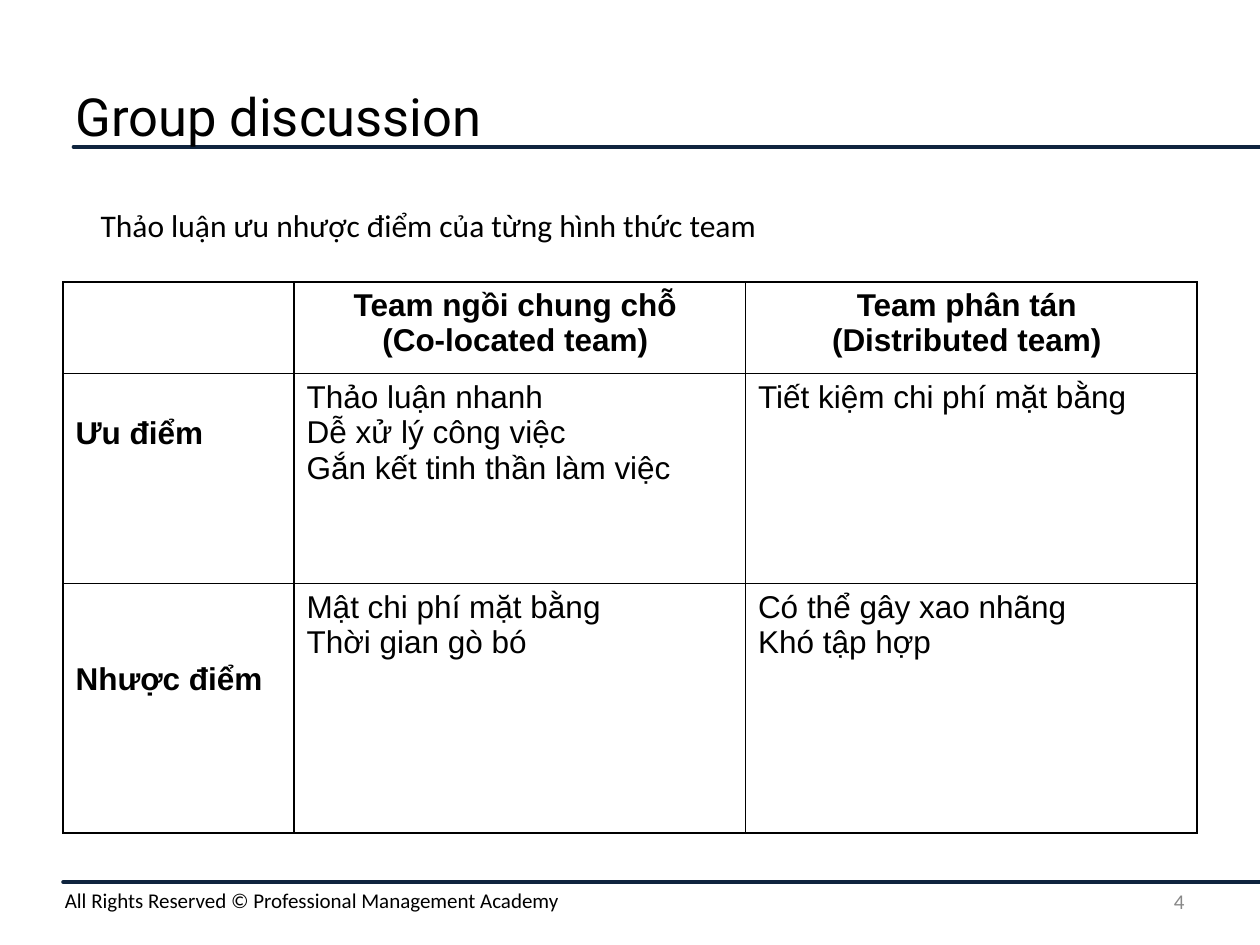
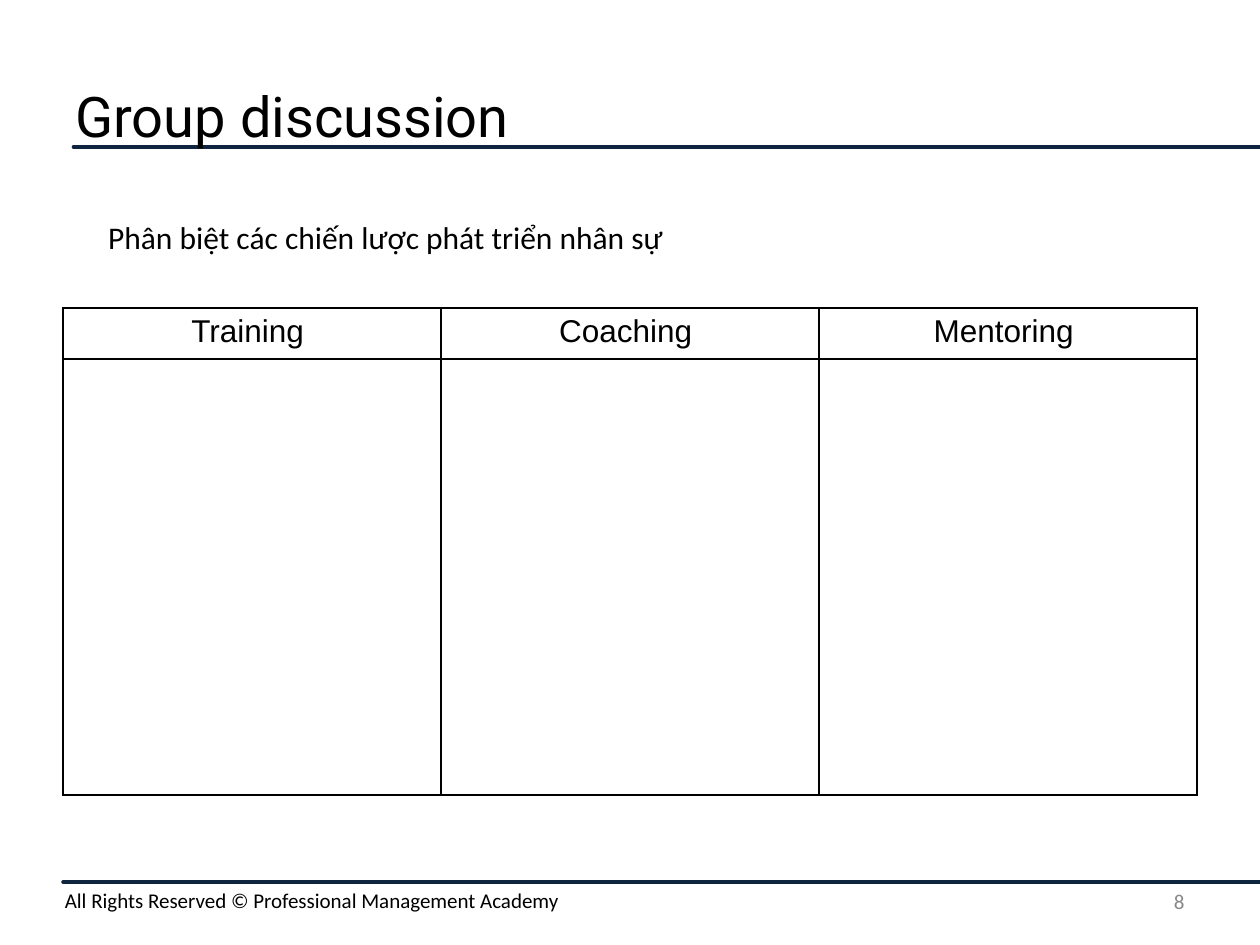
from lxml import etree
from pptx import Presentation
from pptx import util as u
from pptx.dml.color import RGBColor
from pptx.enum import shapes, text
from pptx.oxml import parse_xml
from pptx.oxml.ns import nsdecls, qn

Pt = u.Pt
NAVY, BLACK, GREY = "0F243E", "000000", "888888"
WIDTH, HEIGHT = 720, 540
MARGIN = 36
LINE_HEIGHT = 20.7  # one line of 18 pt Arial
LEFT, CENTER, RIGHT = text.PP_ALIGN.LEFT, text.PP_ALIGN.CENTER, text.PP_ALIGN.RIGHT
TOP, MIDDLE = text.MSO_ANCHOR.TOP, text.MSO_ANCHOR.MIDDLE


def write(frame, content, size, font, color=BLACK, align=LEFT, bold=False):
    """Fill a text frame with one paragraph per line of content."""
    frame.word_wrap = True
    for index, line in enumerate(content.split("\n")):
        paragraph = frame.add_paragraph() if index else frame.paragraphs[0]
        paragraph.text = line
        paragraph.alignment = align
        paragraph.font.size = Pt(size)
        paragraph.font.name = font
        paragraph.font.bold = bold
        paragraph.font.color.rgb = RGBColor.from_string(color)


def add_text(slide, box, content, size, font, anchor=TOP, **style):
    shape = slide.shapes.add_textbox(*map(Pt, box))
    shape.text_frame.vertical_anchor = anchor
    write(shape.text_frame, content, size, font, **style)


discussions = [
    dict(
        number="4", title_size=30,
        task="Thảo luận ưu nhược điểm của từng hình thức team",
        task_box=(50.4, 114, 429, 29),
        table_top=161, columns=[132, 258, 258], rows=[52.5, 120, 142.5],
        bold_headings=True,
        cells=[
            ["", "Team ngồi chung chỗ \n(Co-located team) ",
             "Team phân tán \n(Distributed team) "],
            ["Ưu điểm",
             "Thảo luận nhanh\nDễ xử lý công việc\nGắn kết tinh thần làm việc",
             "Tiết kiệm chi phí mặt bằng"],
            ["Nhược điểm", "Mật chi phí mặt bằng\nThời gian gò bó",
             "Có thể gây xao nhãng\nKhó tập hợp"],
        ],
        label_drops={1: 1, 2: 2},  # lines that each row label sits below the top
    ),
    dict(
        number="8", title_size=32,
        task="Phân biệt các chiến lược phát triển nhân sự",
        task_box=(54.7, 121, 373, 29),
        table_top=176, columns=[216] * 3, rows=[29.2, 249],
        bold_headings=False,
        cells=[["Training ", "Coaching ", "Mentoring "], [""] * 3],
        label_drops={},
    ),
]

presentation = Presentation()
presentation.slide_width, presentation.slide_height = Pt(WIDTH), Pt(HEIGHT)

for discussion in discussions:
    slide = presentation.slides.add_slide(presentation.slide_layouts[6])

    # Rules, footer and title
    for start, y in ((42, 84), (MARGIN, 504)):
        rule = slide.shapes.add_connector(
            shapes.MSO_CONNECTOR.STRAIGHT, Pt(start), Pt(y), Pt(WIDTH), Pt(y))
        rule.line.color.rgb = RGBColor.from_string(NAVY)
        rule.line.width = Pt(2)
        rule.get_or_add_ln().set("cap", "rnd")
        etree.SubElement(rule._element.spPr, qn("a:effectLst"))
    add_text(slide, (30, 503.5, 690, 22),
             "All Rights Reserved © Professional Management Academy", 12, "Calibri")
    add_text(slide, (MARGIN, 36, 648, 60), "Group discussion",
             discussion["title_size"], "Roboto", MIDDLE)

    # Table
    columns, rows = discussion["columns"], discussion["rows"]
    table = slide.shapes.add_table(
        len(rows), len(columns), Pt(MARGIN), Pt(discussion["table_top"]),
        Pt(sum(columns)), Pt(sum(rows))).table
    table.first_row = table.horz_banding = False
    for column, width in zip(table.columns, columns):
        column.width = Pt(width)
    for row, height in zip(table.rows, rows):
        row.height = Pt(height)
    for i, row_cells in enumerate(discussion["cells"]):
        for j, content in enumerate(row_cells):
            cell = table.cell(i, j)
            cell.fill.background()
            if j == 0:
                drop = discussion["label_drops"].get(i, 0)
                cell.margin_top = Pt(3.6 + drop * LINE_HEIGHT)
            write(cell.text_frame, content, 18, "Arial",
                  align=LEFT if i else CENTER,
                  bold=discussion["bold_headings"] and (i == 0 or j == 0))
            properties = cell._tc.get_or_add_tcPr()
            for position, side in enumerate("LRTB"):
                properties.insert(position, parse_xml(
                    f'<a:ln{side} {nsdecls("a")} w="{Pt(1)}"><a:solidFill>'
                    f'<a:srgbClr val="{BLACK}"/></a:solidFill></a:ln{side}>'))

    # Page number and task
    add_text(slide, (516, 500.5, 168, 29), discussion["number"], 12, "Calibri",
             MIDDLE, color=GREY, align=RIGHT)
    add_text(slide, discussion["task_box"], discussion["task"], 18, "Calibri")

presentation.save("out.pptx")
